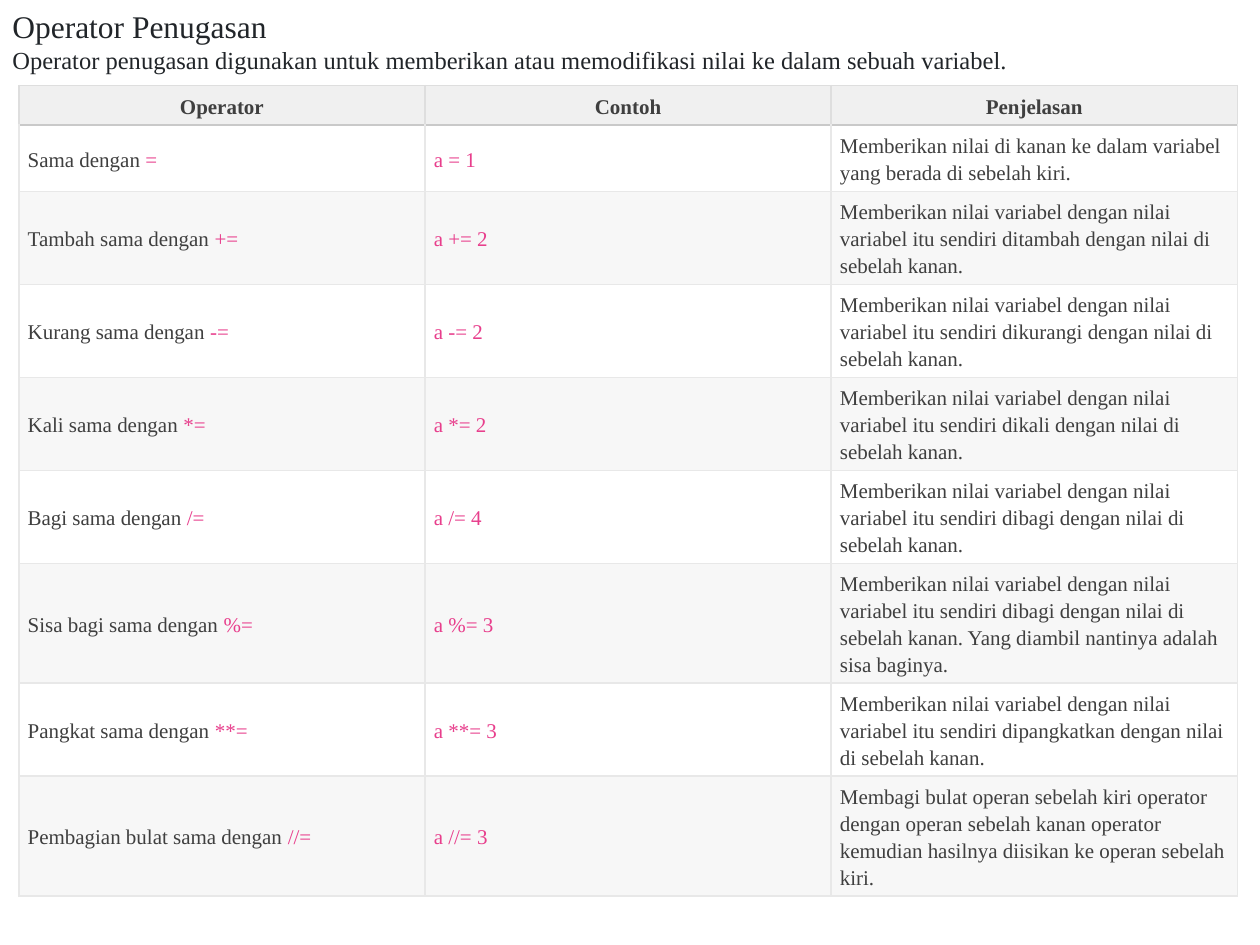
from dataclasses import dataclass

from lxml import etree
from pptx import Presentation
from pptx.dml.color import RGBColor
from pptx.enum import text
from pptx.oxml.ns import qn
from pptx.util import Inches, Pt


@dataclass(frozen=True)
class Theme:
    font: str = "Times New Roman"
    title_size: int = 18
    intro_size: int = 14
    table_size: int = 12
    heading: str = "212529"
    body: str = "3F3F3F"
    code: str = "E83E8C"
    header_fill: str = "F0F0F0"
    row_fills: tuple = ("FFFFFF", "F7F7F7")
    header_line: str = "DEDEDE"
    header_rule: str = "C9C9C9"
    line: str = "E8E8E8"


THEME = Theme()

HEADERS = ("Operator", "Contoh", "Penjelasan")
SELF = "Memberikan nilai variabel dengan nilai variabel itu sendiri "
# Name, operator, operand, explanation
OPERATORS = [
    ("Sama dengan", "=", 1,
     "Memberikan nilai di kanan ke dalam variabel yang berada di sebelah kiri."),
    ("Tambah sama dengan", "+=", 2,
     SELF + "ditambah dengan nilai di sebelah kanan."),
    ("Kurang sama dengan", "-=", 2,
     SELF + "dikurangi dengan nilai di sebelah kanan."),
    ("Kali sama dengan", "*=", 2,
     SELF + "dikali dengan nilai di sebelah kanan."),
    ("Bagi sama dengan", "/=", 4,
     SELF + "dibagi dengan nilai di sebelah kanan."),
    ("Sisa bagi sama dengan", "%=", 3,
     SELF + "dibagi dengan nilai di sebelah kanan. "
     "Yang diambil nantinya adalah sisa baginya."),
    ("Pangkat sama dengan", "**=", 3,
     SELF + "dipangkatkan dengan nilai di sebelah kanan."),
    ("Pembagian bulat sama dengan", "//=", 3,
     "Membagi bulat operan sebelah kiri operator dengan operan sebelah kanan "
     "operator kemudian hasilnya diisikan ke operan sebelah kiri."),
]
ROW_HEIGHTS = (0.28, 0.49, 0.69, 0.69, 0.69, 0.69, 0.9, 0.69, 0.9)


def style_font(font, size, color, bold=False):
    font.name = THEME.font
    font.size = Pt(size)
    font.bold = bold
    font.color.rgb = RGBColor.from_string(color)


def set_borders(cell, left, right, top, bottom):
    tc_pr = cell._tc.get_or_add_tcPr()
    sides = zip(("lnL", "lnR", "lnT", "lnB"), (left, right, top, bottom))
    for i, (side, color) in enumerate(sides):
        ln = etree.Element(qn(f"a:{side}"), w=str(Pt(1)))
        fill = etree.SubElement(ln, qn("a:solidFill"))
        etree.SubElement(fill, qn("a:srgbClr"), val=color)
        tc_pr.insert(i, ln)


def fill_cell(cell, runs, fill, borders, header=False):
    """Write (text, colour) runs into a cell and style it."""
    cell.fill.solid()
    cell.fill.fore_color.rgb = RGBColor.from_string(fill)
    set_borders(cell, *borders)
    cell.vertical_anchor = text.MSO_ANCHOR.MIDDLE
    cell.margin_left = cell.margin_right = Inches(0.07)
    cell.margin_top = cell.margin_bottom = Inches(0.05)
    p = cell.text_frame.paragraphs[0]
    p.line_spacing = 1.15
    p.space_after = Pt(17.3)
    p.alignment = text.PP_ALIGN.CENTER if header else text.PP_ALIGN.LEFT
    for words, color in runs:
        r = p.add_run()
        r.text = words
        style_font(r.font, THEME.table_size, color, header)


def add_heading(s, left, top, width, height):
    sp = s.shapes.add_textbox(left, top, width, height)
    tf = sp.text_frame
    tf.word_wrap = False
    tf.auto_size = text.MSO_AUTO_SIZE.SHAPE_TO_FIT_TEXT
    tf.vertical_anchor = text.MSO_ANCHOR.MIDDLE
    title, intro = tf.paragraphs[0], tf.add_paragraph()
    title.text = "Operator Penugasan"
    intro.text = ("Operator penugasan digunakan untuk memberikan atau "
                  "memodifikasi nilai ke dalam sebuah variabel.")
    style_font(title.font, THEME.title_size, THEME.heading)
    style_font(intro.font, THEME.intro_size, THEME.heading)


def add_operator_table(s, left, top, width, height):
    frame = s.shapes.add_table(len(OPERATORS) + 1, len(HEADERS),
                               left, top, width, height)
    table = frame.table
    table.first_row = table.horz_banding = False
    for row, row_height in zip(table.rows, ROW_HEIGHTS):
        row.height = Inches(row_height)
    frame.height = height

    # Header row
    edges = (THEME.header_line,) * 3 + (THEME.header_rule,)
    for col, label in enumerate(HEADERS):
        fill_cell(table.cell(0, col), [(label, THEME.body)],
                  THEME.header_fill, edges, header=True)

    # One row per operator
    for row, (name, operator, operand, note) in enumerate(OPERATORS, start=1):
        above = THEME.header_rule if row == 1 else THEME.line
        edges = (THEME.line, THEME.line, above, THEME.line)
        contents = (
            [(f"{name} ", THEME.body), (operator, THEME.code)],
            [(f"a {operator} {operand}", THEME.code)],
            [(note, THEME.body)],
        )
        for col, runs in enumerate(contents):
            fill_cell(table.cell(row, col), runs,
                      THEME.row_fills[(row - 1) % 2], edges)


def main():
    prs = Presentation()
    prs.slide_width, prs.slide_height = Inches(10), Inches(7.5)
    s = prs.slides.add_slide(prs.slide_layouts[6])
    add_operator_table(s, Inches(0.15), Inches(0.68), Inches(9.67), Inches(6.85))
    add_heading(s, Inches(0), Inches(0), Inches(8.17), Inches(0.64))
    prs.save("out.pptx")


if __name__ == "__main__":
    main()
